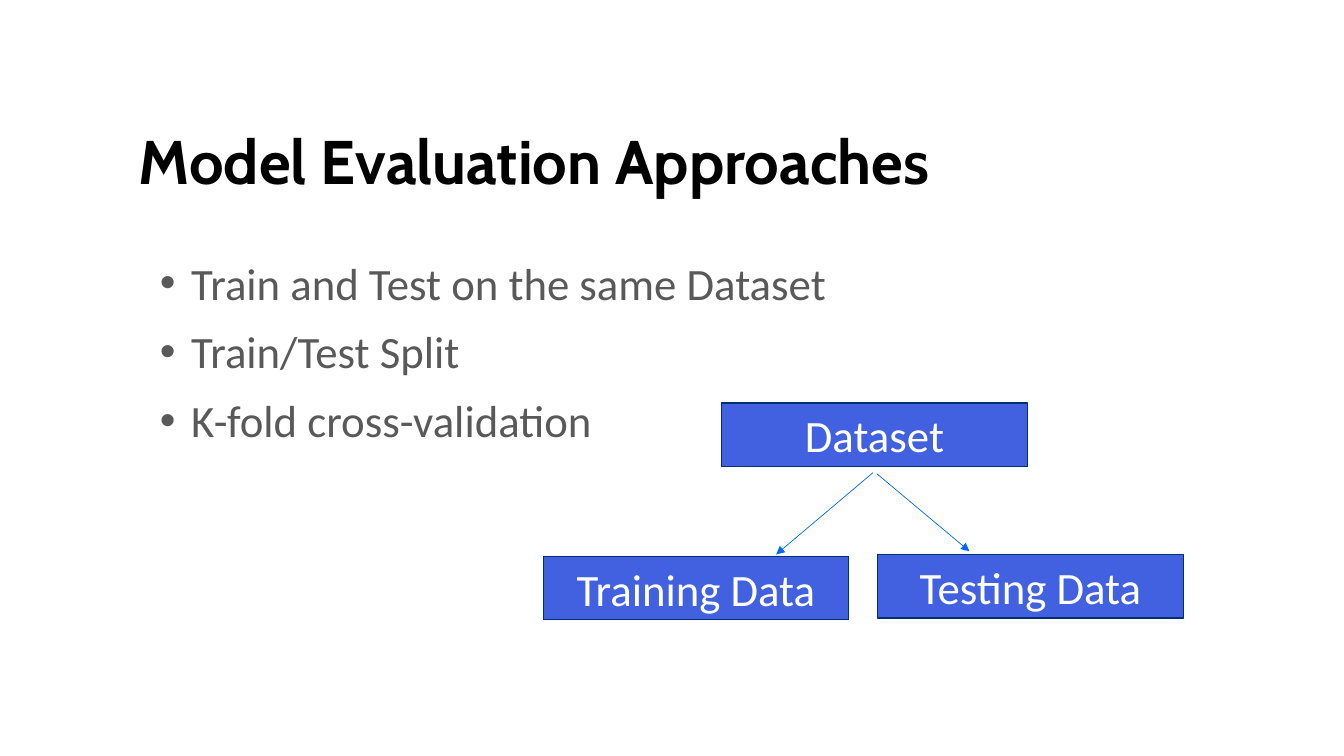
from dataclasses import dataclass

from lxml.etree import SubElement
from pptx import Presentation
from pptx.dml.color import RGBColor
from pptx.enum.shapes import MSO_CONNECTOR, MSO_SHAPE
from pptx.enum.text import MSO_ANCHOR, PP_ALIGN
from pptx.oxml.ns import qn
from pptx.util import Cm, Pt


@dataclass(frozen=True)
class Theme:
    """Colours, fonts and type sizes of the slide."""
    ink: str = "000000"
    text: str = "595959"
    light: str = "FFFFFF"
    fill: str = "4161E1"
    edge: str = "002E70"
    arrow: str = "0068FF"
    head: str = "Cabin"
    body: str = "Calibri"
    large: int = 44
    small: int = 32


THEME = Theme()


def style(para, name, size, color, bold=False):
    """Set the font of a paragraph."""
    font = para.font
    font.name, font.size, font.bold = name, Pt(size), bold
    font.color.rgb = RGBColor.from_string(color)


def add_title(slide, box, text):
    """Place the title at the foot of its box."""
    frame = slide.shapes.add_textbox(*map(Cm, box)).text_frame
    frame.word_wrap = True
    frame.vertical_anchor = MSO_ANCHOR.BOTTOM
    para = frame.paragraphs[0]
    para.text = text
    para.line_spacing = 0.8
    style(para, THEME.head, THEME.large, THEME.ink, True)


def add_list(slide, box, items):
    """Fill the box with a bulleted list."""
    frame = slide.shapes.add_textbox(*map(Cm, box)).text_frame
    frame.word_wrap = True
    for index, item in enumerate(items):
        para = frame.add_paragraph() if index else frame.paragraphs[0]
        para.text = item
        para.alignment = PP_ALIGN.JUSTIFY
        para.line_spacing = 1.07
        para.space_after = Pt(8)
        props = para._p.get_or_add_pPr()
        props.set("marL", str(Cm(0.79)))
        props.set("indent", str(-Cm(0.79)))
        SubElement(props, qn("a:buFont"), typeface="Arial")
        SubElement(props, qn("a:buChar"), char="•")
        style(para, THEME.body, THEME.small, THEME.text)


def add_node(slide, box, text):
    """Draw one labelled rectangle."""
    node = slide.shapes.add_shape(MSO_SHAPE.RECTANGLE, *map(Cm, box))
    node.shadow.inherit = False
    node.fill.solid()
    node.fill.fore_color.rgb = RGBColor.from_string(THEME.fill)
    node.line.color.rgb = RGBColor.from_string(THEME.edge)
    node.line.width = Pt(1)
    frame = node.text_frame
    frame.vertical_anchor = MSO_ANCHOR.MIDDLE
    para = frame.paragraphs[0]
    para.text = text
    para.alignment = PP_ALIGN.CENTER
    style(para, THEME.body, THEME.small, THEME.light)


def add_arrow(slide, start, end):
    """Draw a thin arrow from start to end."""
    link = slide.shapes.add_connector(
        MSO_CONNECTOR.STRAIGHT, *map(Cm, (*start, *end)))
    link.line.color.rgb = RGBColor.from_string(THEME.arrow)
    link.line.width = Pt(0.5)
    SubElement(link.line._get_or_add_ln(), qn("a:tailEnd"), type="triangle")
    SubElement(link._element.spPr, qn("a:effectLst"))


def add_tree(slide, box):
    """Show the dataset split into training and testing data."""
    left, top, width, height = box
    wide, high = 7.7, 1.6
    low = top + height - high
    add_node(slide, (left + 4.5, top, wide, high), "Dataset")
    add_arrow(slide, (left + 8.31, top + 1.75), (left + 5.87, low - 0.05))
    add_arrow(slide, (left + 8.41, top + 1.78), (left + 10.74, low - 0.13))
    add_node(slide, (left, low, wide, high), "Training Data")
    add_node(slide, (left + width - wide, low - 0.05, wide, high),
             "Testing Data")


def main():
    """Build and save the slide."""
    deck = Presentation()
    deck.slide_width, deck.slide_height = Cm(33.87), Cm(19.05)
    slide = deck.slides.add_slide(deck.slide_layouts[6])
    add_title(slide, (3.25, 1.27, 26.92, 3.81), "Model Evaluation Approaches")
    add_list(slide, (3.78, 6.22, 25.81, 11.96), (
        "Train and Test on the same Dataset",
        "Train/Test Split",
        "K-fold cross-validation",
    ))
    add_tree(slide, (13.69, 10.16, 16.13, 5.46))
    deck.save("out.pptx")


if __name__ == "__main__":
    main()
